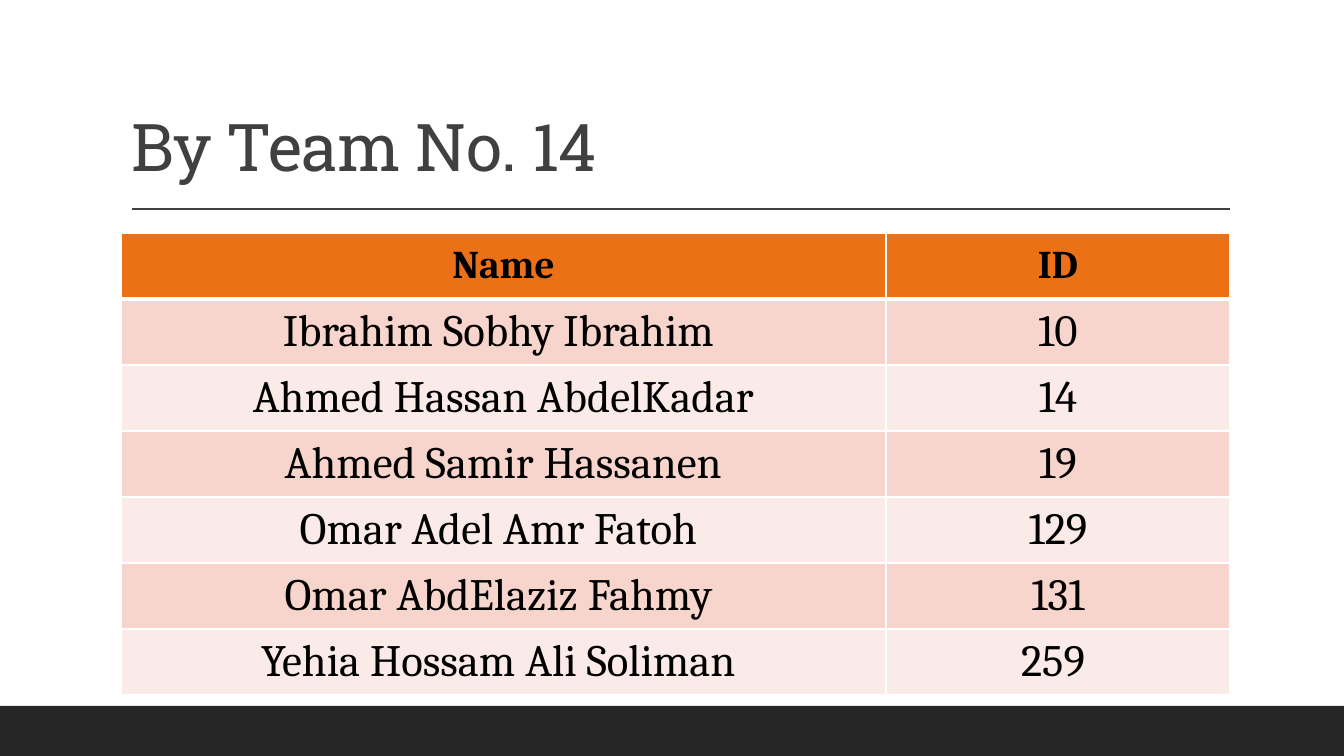
from lxml.etree import SubElement
from pptx import Presentation
from pptx.dml.color import RGBColor
from pptx.enum.shapes import MSO_CONNECTOR, MSO_SHAPE
from pptx.enum.text import MSO_ANCHOR, MSO_AUTO_SIZE, PP_ALIGN
from pptx.oxml.ns import qn
from pptx.util import Emu, Pt

BLACK = RGBColor(0x00, 0x00, 0x00)
WHITE = RGBColor(0xFF, 0xFF, 0xFF)
CHARCOAL = RGBColor(0x26, 0x26, 0x26)
GRAY = RGBColor(0x40, 0x40, 0x40)
ORANGE = RGBColor(0xEC, 0x70, 0x16)
ROSE = RGBColor(0xF8, 0xD5, 0xCC)
BLUSH = RGBColor(0xFB, 0xEB, 0xE8)

EMU_PER_PIXEL = 914400 / 100.8
WIDTH, HEIGHT = 1344, 756

TITLE_FONT = {"name": "Roboto Slab", "size": Pt(47), "bold": False}
HEADER_FONT = {"name": "Cambria", "size": Pt(28), "bold": True}
BODY_FONT = {"name": "Cambria", "size": Pt(32), "bold": False}

MEMBERS = [
    ("Ibrahim Sobhy Ibrahim ", "10"),
    ("Ahmed Hassan AbdelKadar", "14"),
    ("Ahmed Samir Hassanen", "19"),
    ("Omar Adel Amr Fatoh ", "129"),
    ("Omar AbdElaziz Fahmy ", "131"),
    ("Yehia Hossam Ali Soliman ", "259 "),
]


def pixels(*lengths):
    return [Emu(round(length * EMU_PER_PIXEL)) for length in lengths]


def set_values(target, values):
    for name, value in values.items():
        setattr(target, name, value)


class SlideBuilder:
    def __init__(self, page):
        self.page = page

    def add_text(self, para, text, font, color):
        span = para.add_run()
        span.text = text
        set_values(span.font, font)
        span.font.color.rgb = color
        return span

    def title(self, text, *bounds):
        box = self.page.shapes.title
        set_values(box, dict(zip(("left", "top", "width", "height"), pixels(*bounds))))
        set_values(box.text_frame, {
            "vertical_anchor": MSO_ANCHOR.BOTTOM,
            "word_wrap": True,
            "auto_size": MSO_AUTO_SIZE.NONE,
        })
        para = box.text_frame.paragraphs[0]
        set_values(para, {"alignment": PP_ALIGN.LEFT, "line_spacing": 0.9})
        span = self.add_text(para, text, TITLE_FONT, GRAY)
        span._r.get_or_add_rPr().set("spc", "-50")

    def bar(self, color, *bounds):
        box = self.page.shapes.add_shape(MSO_SHAPE.RECTANGLE, *pixels(*bounds))
        box.shadow.inherit = False
        box.fill.solid()
        box.fill.fore_color.rgb = color
        box.line.fill.background()

    def rule(self, color, *ends):
        line = self.page.shapes.add_connector(MSO_CONNECTOR.STRAIGHT, *pixels(*ends))
        line.line.color.rgb = color
        line.line.width = Pt(1)
        SubElement(line._element.spPr, qn("a:effectLst"))

    def borders(self, cell, widths):
        properties = cell._tc.get_or_add_tcPr()
        for side, width in widths.items():
            edge = SubElement(properties, qn(f"a:ln{side}"), w=str(int(Pt(width))))
            fill = SubElement(edge, qn("a:solidFill"))
            SubElement(fill, qn("a:srgbClr"), val=str(WHITE))

    def cell(self, cell, text, font, fill, widths):
        self.borders(cell, widths)
        cell.fill.solid()
        cell.fill.fore_color.rgb = fill
        cell.vertical_anchor = MSO_ANCHOR.MIDDLE
        para = cell.text_frame.paragraphs[0]
        para.alignment = PP_ALIGN.CENTER
        self.add_text(para, text, font, BLACK)

    def table(self, header, records, left, top, column_widths, row_height):
        rows = [header, *records]
        bounds = pixels(left, top, sum(column_widths), row_height * len(rows))
        grid = self.page.shapes.add_table(len(rows), len(header), *bounds).table
        for column, width in zip(grid.columns, pixels(*column_widths)):
            column.width = width
        for index, values in enumerate(rows):
            grid.rows[index].height = pixels(row_height)[0]
            font = BODY_FONT if index else HEADER_FONT
            fill = (ROSE if index % 2 else BLUSH) if index else ORANGE
            widths = {"L": 1, "R": 1, "T": 3 if index == 1 else 1,
                      "B": 1 if index else 3}
            for position, text in enumerate(values):
                self.cell(grid.cell(index, position), text, font, fill, widths)


deck = Presentation()
deck.slide_width, deck.slide_height = pixels(WIDTH, HEIGHT)
builder = SlideBuilder(deck.slides.add_slide(deck.slide_layouts[5]))

# Footer band and line under the title
builder.bar(CHARCOAL, 0, 706, WIDTH, HEIGHT - 706)
builder.rule(GRAY, 132, 209, 1230, 209)

# Title
builder.title("By Team No. 14", 121, 31, 1109, 160)

# Team members
builder.table(("Name", "ID"), MEMBERS, 121, 233, (765, 344), 66)

deck.save("out.pptx")
